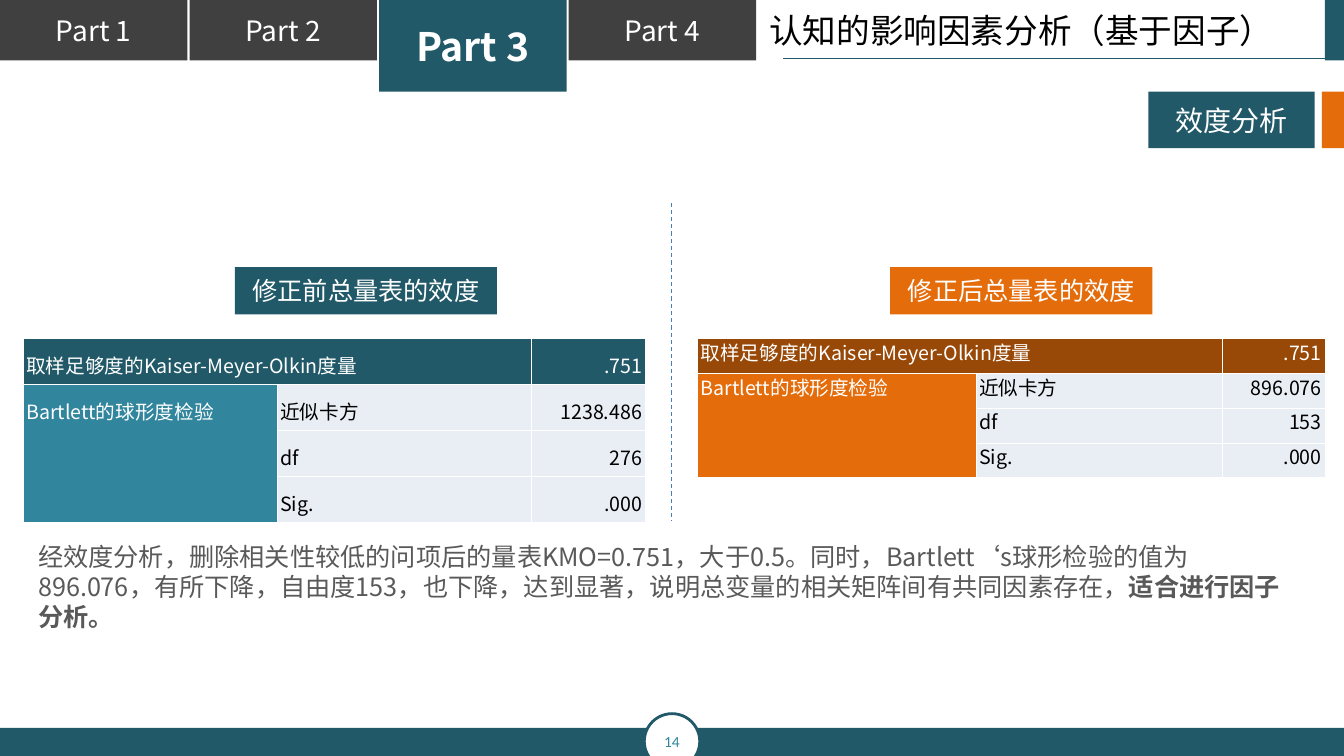
from dataclasses import dataclass

from lxml.etree import SubElement as Sub
from pptx import Presentation
from pptx.dml.color import RGBColor as Rgb
from pptx.enum.dml import MSO_LINE as Dash
from pptx.enum.shapes import MSO_CONNECTOR as Link, MSO_SHAPE as Form
from pptx.enum.text import MSO_ANCHOR as Anchor, MSO_AUTO_SIZE as Fit, PP_ALIGN as Align
from pptx.oxml.ns import qn
from pptx.util import Inches, Pt


@dataclass(frozen=True)
class Theme:
    font: str = "Noto Sans CJK SC"
    digit: str = "Calibri"
    teal: str = "215968"
    aqua: str = "31859C"
    orange: str = "E46C0A"
    brown: str = "984807"
    dark: str = "404040"
    gray: str = "595959"
    pale: str = "E9EDF4"
    blue: str = "4A7EBB"
    white: str = "FFFFFF"
    black: str = "000000"
    active: int = 28
    title: int = 24
    tab: int = 20
    body: int = 18
    cell: int = 14
    page: int = 11


T = Theme()


def color(code):
    return Rgb.from_string(code)


def lengths(box):
    return [Inches(n) for n in box]


def style(para, size, tint, align=Align.LEFT, bold=False, face=T.font):
    para.alignment = align
    font = para.font
    font.name, font.size, font.bold = face, Pt(size), bold
    font.color.rgb = color(tint)
    props = para._p.pPr.find(qn("a:defRPr"))
    Sub(props, qn("a:ea")).set("typeface", face)


def block(slide, box, fill, text="", size=T.tab, form=Form.RECTANGLE, **look):
    shape = slide.shapes.add_shape(form, *lengths(box))
    shape.shadow.inherit = False
    shape.fill.solid()
    shape.fill.fore_color.rgb = color(fill)
    shape.line.fill.background()
    if text:
        frame = shape.text_frame
        frame.vertical_anchor = Anchor.MIDDLE
        frame.text = text
        tint = look.pop("tint", T.white)
        style(frame.paragraphs[0], size, tint, Align.CENTER, **look)
    return shape


def rule(slide, start, end, tint, dash=None):
    line = slide.shapes.add_connector(Link.STRAIGHT, *lengths(start + end))
    line.line.color.rgb = color(tint)
    line.line.width = Pt(0.75)
    if dash:
        line.line.dash_style = dash
    Sub(line._element.spPr, qn("a:effectLst"))


# Part tabs, slide title and the edge mark
def header(slide, box, active, title):
    left, top, width, high = box
    wide, step = 1.86, 1.88
    for i in range(4):
        on = i + 1 == active
        block(slide, (left + i * step, top, wide, 0.91 if on else high),
              T.teal if on else T.dark, f"Part {i + 1}",
              T.active if on else T.tab, bold=on)
    right = left + width
    block(slide, (right - 0.19, top, 0.19, high), T.teal)
    rule(slide, (right - 0.1, top + 0.58), (left + 7.77, top + 0.58), T.teal)
    head = slide.shapes.title
    head.left, head.top, head.width, head.height = lengths(
        (left + 7.53, top + 0.05, 5.51, 0.5))
    frame = head.text_frame
    frame.text = title
    frame.auto_size = Fit.NONE
    frame.vertical_anchor = Anchor.TOP
    style(frame.paragraphs[0], T.title, T.black)


# Section label with its side mark
def label(slide, box, text):
    left, top, width, high = box
    block(slide, (left, top, 1.65, high), T.teal, text)
    block(slide, (left + width - 0.22, top, 0.22, high), T.orange)


def border(cell):
    props = cell._tc.get_or_add_tcPr()
    for side in ("lnL", "lnR", "lnT", "lnB"):
        line = Sub(props, qn(f"a:{side}"), w=str(Pt(0.45)))
        fill = Sub(line, qn("a:solidFill"))
        Sub(fill, qn("a:srgbClr"), val=T.white)


# Test results: a caption above a table
def panel(slide, box, caption, tag, cols, values, fills, pitch):
    left, top, width, high = box
    head, side = fills
    block(slide, (tag, top, 2.6, 0.47), side if head == T.brown else head,
          caption, T.body)
    place = lengths((left, top + 0.71, width, high - 0.71))
    table = slide.shapes.add_table(4, 3, *place).table
    table.first_row = table.horz_banding = False
    for col, wide in zip(table.columns, cols):
        col.width = Inches(wide)
    first = ("取样足够度的Kaiser-Meyer-Olkin度量", "Bartlett的球形度检验", "", "")
    names = ("", "近似卡方", "df", "Sig.")
    for r, texts in enumerate(zip(first, names, values)):
        for c, text in enumerate(texts):
            cell = table.cell(r, c)
            cell.margin_left = cell.margin_right = Inches(0.03)
            border(cell)
            fill = head if r == 0 else side if c == 0 else T.pale
            cell.fill.solid()
            cell.fill.fore_color.rgb = color(fill)
            cell.text = text
            para = cell.text_frame.paragraphs[0]
            para.line_spacing = pitch
            style(para, T.cell, T.black if fill == T.pale else T.white,
                  Align.RIGHT if c == 2 else Align.LEFT)
    table.cell(0, 0).merge(table.cell(0, 1))
    table.cell(1, 0).merge(table.cell(3, 0))


# Closing remark, its last words in bold
def remark(slide, box, text, strong):
    frame = slide.shapes.add_textbox(*lengths(box)).text_frame
    frame.word_wrap = True
    para = frame.paragraphs[0]
    style(para, T.body, T.gray)
    para.add_run().text = text
    run = para.add_run()
    run.text, run.font.bold = strong, True


# Bottom bar with the page number
def footer(slide, box, page):
    left, top, width, high = box
    block(slide, box, T.teal)
    disc = 0.55
    ring = block(slide, (left + (width - disc) / 2, top - 0.14, disc, disc),
                 T.white, page, T.page, Form.OVAL, tint=T.aqua, face=T.digit)
    ring.line.color.rgb = color(T.teal)
    ring.line.width = Pt(2)


def main():
    deck = Presentation()
    deck.slide_width, deck.slide_height = Inches(13.33), Inches(7.5)
    slide = deck.slides.add_slide(deck.slide_layouts[5])
    header(slide, (0, 0, 13.33, 0.6), 3, "认知的影响因素分析（基于因子）")
    footer(slide, (0, 7.22, 13.33, 0.28), "14")
    label(slide, (11.39, 0.91, 1.94, 0.56), "效度分析")
    rule(slide, (6.66, 2.01), (6.66, 5.17), T.blue, Dash.DASH)
    panel(slide, (0.23, 2.65, 6.16, 2.13), "修正前总量表的效度", 2.33,
          (2.52, 2.52, 1.13), (".751", "1238.486", "276", ".000"),
          (T.teal, T.aqua), 1.25)
    panel(slide, (6.92, 2.65, 6.21, 2.09), "修正后总量表的效度", 8.83,
          (2.76, 2.44, 1.02), (".751", "896.076", "153", ".000"),
          (T.brown, T.orange), Pt(16))
    remark(slide, (0.28, 5.32, 12.76, 1),
           "经效度分析，删除相关性较低的问项后的量表KMO=0.751，大于0.5。同时，"
           "Bartlett‘s球形检验的值为896.076，有所下降，自由度153，也下降，达到显著，"
           "说明总变量的相关矩阵间有共同因素存在，", "适合进行因子分析。")
    deck.save("out.pptx")


if __name__ == "__main__":
    main()
